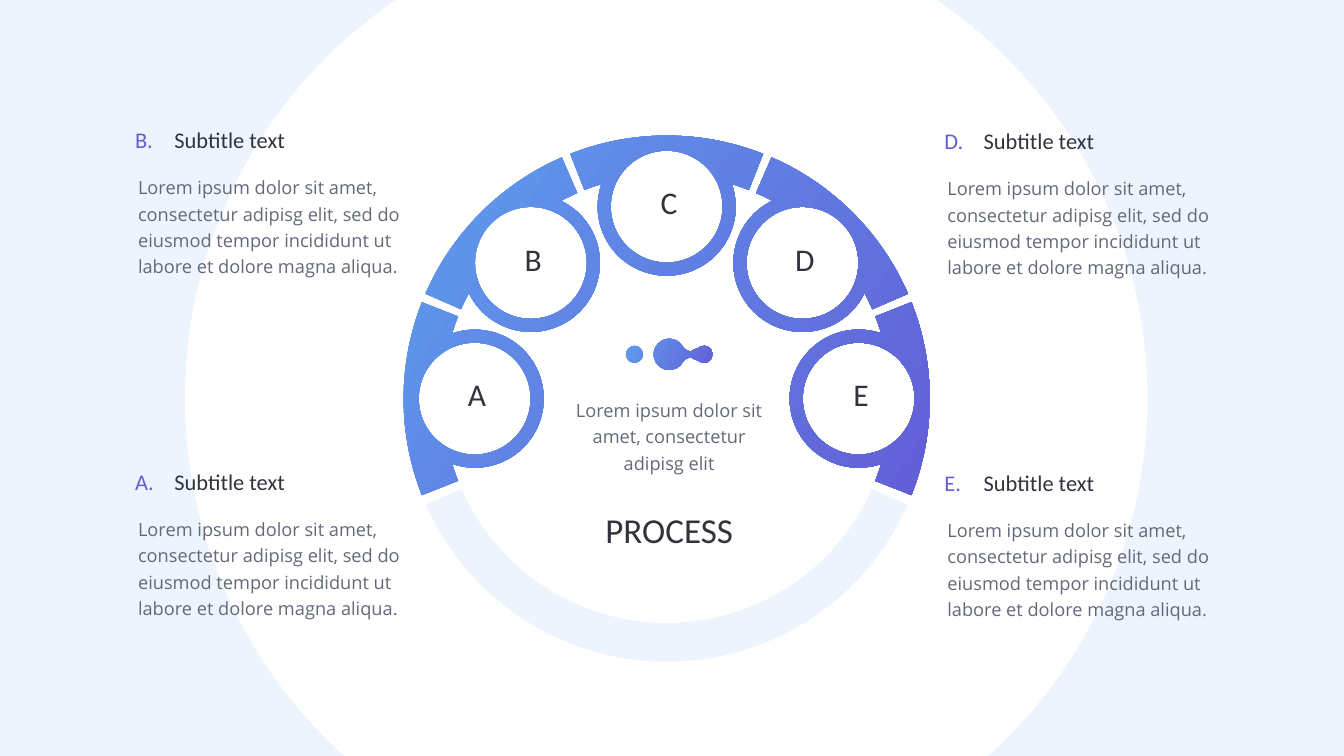
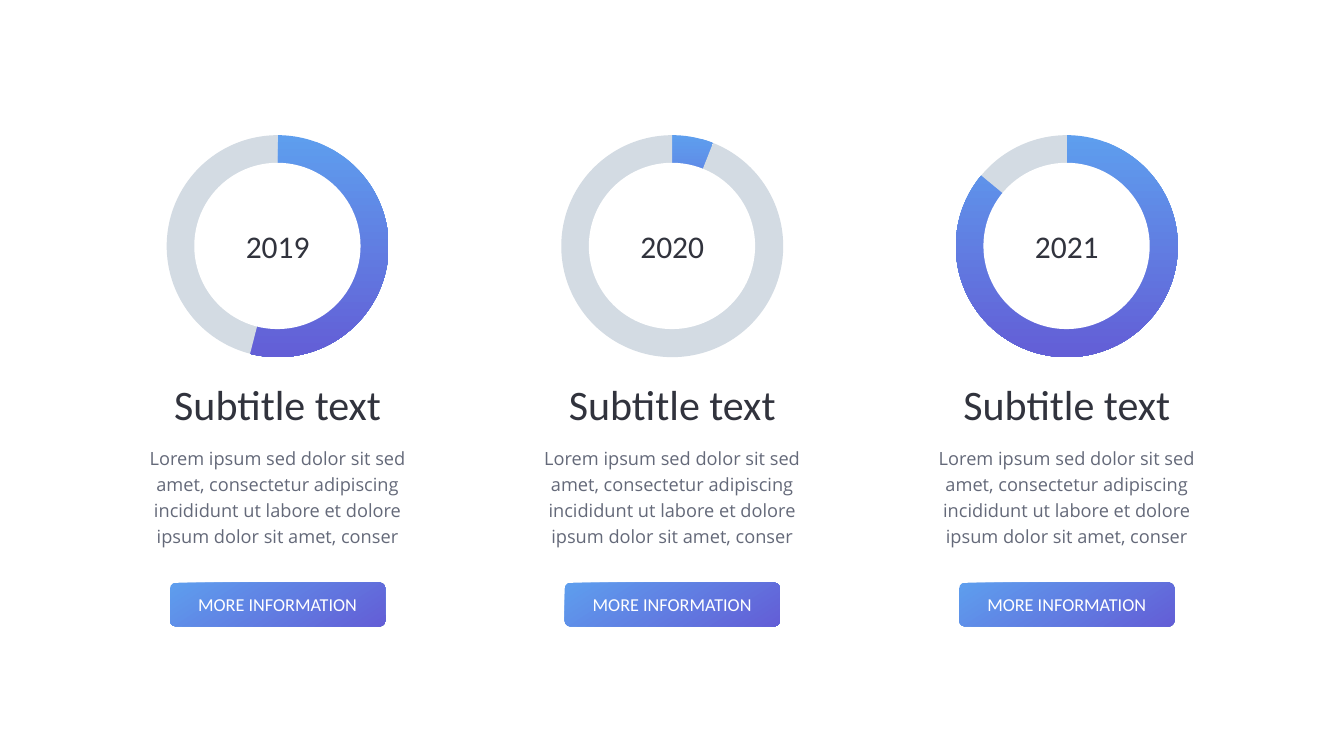
import math
from dataclasses import dataclass

from lxml import etree
from pptx import Presentation
from pptx import util as u
from pptx.chart.data import CategoryChartData
from pptx.dml.color import RGBColor
from pptx.enum import chart as ch
from pptx.enum import shapes, text
from pptx.oxml.ns import qn


@dataclass(frozen=True)
class Theme:
    width: float = 26.67
    height: float = 15
    white: str = "FFFFFF"
    pale: str = "EDF4FD"
    band: str = "EEF4FE"
    dark: str = "31333D"
    grey: str = "646979"
    track: str = "D3DBE3"
    chart_text: str = "2F313F"
    start: str = "5E9EEE"
    end: str = "635ED6"
    head_font: str = "Calibri"
    body_font: str = "Open Sans"
    chart_font: str = "Arial"
    body: int = 26
    label: int = 32
    mark: int = 45
    title: int = 50
    subtitle: int = 60
    chart: int = 10
    inset: float = 0.06


T = Theme()
LEFT, CENTER = text.PP_ALIGN.LEFT, text.PP_ALIGN.CENTER
TOP, MIDDLE = text.MSO_ANCHOR.TOP, text.MSO_ANCHOR.MIDDLE
LEGEND_TEXT = ("Lorem ipsum dolor sit amet, consectetur adipisg elit, sed do "
               "eiusmod tempor incididunt ut labore et dolore magna aliqua.")
CENTER_TEXT = "Lorem ipsum dolor sit amet, consectetur adipisg elit"
COLUMN_TEXT = ("Lorem ipsum sed dolor sit sed amet, consectetur adipiscing "
               "incididunt ut labore et dolore ipsum dolor sit amet, conser")


def rgb(color):
    return RGBColor.from_string(color)


def solid(fill, color):
    fill.solid()
    fill.fore_color.rgb = rgb(color)


def gradient(fill, angle):
    fill.gradient()
    fill.gradient_angle = 360 - angle
    for stop, color in zip(fill.gradient_stops, (T.start, T.end)):
        stop.color.rgb = rgb(color)


def plain(sp):
    sp.shadow.inherit = False
    sp.line.fill.background()
    return sp


def place(sp, left, top, width, height):
    sp.left, sp.top, sp.width, sp.height = map(u.Inches, (left, top, width, height))


def write(sp, words, size, color=T.dark, align=CENTER, anchor=MIDDLE,
          font=T.head_font, spacing=None, grow=True):
    tf = sp.text_frame
    tf.word_wrap = True
    tf.auto_size = text.MSO_AUTO_SIZE.SHAPE_TO_FIT_TEXT if grow else text.MSO_AUTO_SIZE.NONE
    tf.vertical_anchor = anchor
    tf.margin_left = tf.margin_right = tf.margin_top = tf.margin_bottom = u.Inches(T.inset)
    p = tf.paragraphs[0]
    p.text = words
    p.alignment = align
    if spacing:
        p.line_spacing = spacing
    p.font.name, p.font.size, p.font.color.rgb = font, u.Pt(size), rgb(color)


def label(s, box, words, size, **style):
    write(s.shapes.add_textbox(*map(u.Inches, box)), words, size, **style)


def body(s, box, words, align=LEFT):
    label(s, box, words, T.body, color=T.grey, align=align, anchor=TOP,
          font=T.body_font, spacing=1.2)


def circle(s, cx, cy, radius, color):
    box = map(u.Inches, (cx - radius, cy - radius, 2 * radius, 2 * radius))
    sp = plain(s.shapes.add_shape(shapes.MSO_SHAPE.OVAL, *box))
    solid(sp.fill, color)


def polar(cx, cy, radius, angle):
    a = math.radians(angle)
    return cx + radius * math.cos(a), cy + radius * math.sin(a)


def arc(cx, cy, radius, start, end):
    pieces = 2 * math.ceil(abs(end - start) / 180)
    sweep = (end - start) / pieces
    nodes = [(*polar(cx, cy, radius, start), None)]
    for i in range(pieces):
        angle = start + sweep * i
        nodes.append((*polar(cx, cy, radius, angle + sweep), (radius, angle, sweep)))
    return nodes


def bend(line, radius, angle, sweep):
    curve = etree.Element(qn("a:arcTo"))
    for name, val in (("wR", u.Inches(radius)), ("hR", u.Inches(radius)),
                      ("stAng", round(angle % 360 * 60000)),
                      ("swAng", round(sweep * 60000))):
        curve.set(name, str(int(val)))
    line.getparent().replace(line, curve)


def outline(s, contours):
    emu = [[(u.Inches(x), u.Inches(y)) for x, y, _ in nodes] for nodes in contours]
    builder = s.shapes.build_freeform(*emu[0][0])
    for i, points in enumerate(emu):
        if i:
            builder.move_to(*points[0])
        builder.add_line_segments(points[1:], close=True)
    sp = plain(builder.convert_to_shape())
    curves = [curve for nodes in contours for _, _, curve in nodes[1:]]
    for line, curve in zip(list(sp._element.iter(qn("a:lnTo"))), curves):
        if curve:
            bend(line, *curve)
    return sp


def divider(s, left, top):
    cy = top + 0.31
    neck = [(1.18, 0.1), (1.28, 0.05), (1.36, 0.1)]
    dumbbell = arc(left + 0.86, cy, 0.31, 30, 330)
    dumbbell += [(left + x, cy - y, None) for x, y in neck]
    dumbbell += arc(left + 1.55, cy, 0.17, 225, 495)
    dumbbell += [(left + x, cy + y, None) for x, y in reversed(neck)]
    sp = outline(s, [dumbbell, arc(left + 0.17, cy, 0.17, 0, 360)])
    gradient(sp.fill, 34)


def wheel(s, left, top):
    outer, inner, orbit, ring, hole, half = 5.22, 4.45, 3.81, 1.37, 1.11, 21.5
    cx, cy = left + outer, top + outer
    tail = 23.75
    sp = outline(s, [arc(cx, cy, outer, 180 - tail, tail)
                     + arc(cx, cy, inner, tail, 180 - tail)])
    solid(sp.fill, T.band)

    cut = math.acos((orbit ** 2 + inner ** 2 - ring ** 2) / (2 * orbit * inner))
    turn = math.degrees(math.atan2(inner * math.sin(cut), inner * math.cos(cut) - orbit))
    cut = math.degrees(cut)
    contours, centers = [], []
    for i in range(5):
        mid = 180 + 45 * i
        rx, ry = polar(cx, cy, orbit, mid)
        centers.append((rx, ry))
        contours.append(arc(cx, cy, outer, mid - half, mid + half)
                        + arc(cx, cy, inner, mid + half, mid + cut)
                        + arc(rx, ry, ring, mid + turn, mid + 360 - turn)
                        + arc(cx, cy, inner, mid - cut, mid - half))
        contours.append(arc(rx, ry, hole, 0, 360))
    gradient(outline(s, contours).fill, 34)

    for letter, (rx, ry) in zip("ABCDE", centers):
        label(s, (rx - 0.43, ry - 0.5, 0.95, 0.83), letter, T.mark)
    title = s.shapes.title
    place(title, left + 2.73, top + 7.36, 5.08, 0.93)
    write(title, "PROCESS", T.title)
    s.shapes._spTree.append(title._element)
    divider(s, left + 4.41, top + 4.03)
    body(s, (left + 3.17, top + 5.09, 4.2, 1.81), CENTER_TEXT, CENTER)


def legend(s, left, top, letter):
    label(s, (left, top, 0.69, 0.65), f"{letter}.", T.label, color=T.end, align=LEFT)
    body(s, (left + 0.06, top + 0.91, 5.47, 2.41), LEGEND_TEXT)
    label(s, (left + 0.78, top, 3.31, 0.64), "Subtitle text", T.label, align=LEFT)


def fill_plot_area(chart):
    area = chart._chartSpace.chart.plotArea
    for old in area.findall(qn("c:layout")):
        area.remove(old)
    layout = etree.Element(qn("c:layout"))
    manual = etree.SubElement(layout, qn("c:manualLayout"))
    for tag, val in (("layoutTarget", "inner"), ("xMode", "edge"), ("yMode", "edge"),
                     ("x", "0.005"), ("y", "0.005"), ("w", "0.99"), ("h", "0.99")):
        etree.SubElement(manual, qn(f"c:{tag}")).set("val", val)
    area.insert(0, layout)


def pie(s, left, top, size, share):
    data = CategoryChartData()
    data.categories = ["1", "2"]
    data.add_series("Series 1", (share, 100 - share))
    box = map(u.Inches, (left, top, size, size))
    chart = s.shapes.add_chart(ch.XL_CHART_TYPE.PIE, *box, data).chart
    chart.has_legend = chart.has_title = False
    chart.font.name, chart.font.size = T.chart_font, u.Pt(T.chart)
    chart.font.color.rgb = rgb(T.chart_text)
    plot = chart.plots[0]
    plot.vary_by_categories = False
    series = plot.series[0]
    done, rest = series.points[0].format, series.points[1].format
    for part in (series.format, done):
        gradient(part.fill, 90)
    solid(rest.fill, T.track)
    for part in (series.format, done, rest):
        part.line.fill.background()
    fill_plot_area(chart)


def button(s, left, top, words):
    box = map(u.Inches, (left, top, 4.27, 0.87))
    sp = plain(s.shapes.add_shape(shapes.MSO_SHAPE.ROUNDED_RECTANGLE, *box))
    sp.adjustments[0] = 0.13
    gradient(sp.fill, 57)
    write(sp, words, T.body, color=T.white, grow=False)


def year_column(s, cx, top, year, share):
    pie(s, cx - 2.22, top, 4.45, share)
    circle(s, cx, top + 2.22, 1.65, T.white)
    label(s, (cx - 1.02, top + 1.8, 2.05, 0.83), year, T.mark)
    label(s, (cx - 2.57, top + 4.81, 5.15, 1.1), "Subtitle text", T.subtitle)
    body(s, (cx - 2.72, top + 6.06, 5.45, 2.41), COLUMN_TEXT, CENTER)
    button(s, cx - 2.13, top + 8.9, "MORE INFORMATION")


def new_slide(prs, layout, color):
    s = prs.slides.add_slide(prs.slide_layouts.get_by_name(layout))
    solid(s.background.fill, color)
    return s


def process_slide(prs):
    s = new_slide(prs, "Title Only", T.pale)
    circle(s, 13.22, 7.9, 9.55, T.white)
    wheel(s, 8.01, 2.69)
    for left, top, letters in ((2.62, 2.45, "BA"), (18.68, 2.47, "DE")):
        for row, letter in enumerate(letters):
            legend(s, left, top + 6.78 * row, letter)


def years_slide(prs):
    s = new_slide(prs, "Blank", T.white)
    for i, (year, share) in enumerate((("2019", 54), ("2020", 6), ("2021", 86))):
        year_column(s, T.width / 2 + 7.83 * (i - 1), 2.66, year, share)


def main():
    prs = Presentation()
    prs.slide_width, prs.slide_height = u.Inches(T.width), u.Inches(T.height)
    process_slide(prs)
    years_slide(prs)
    prs.save("out.pptx")


if __name__ == "__main__":
    main()
